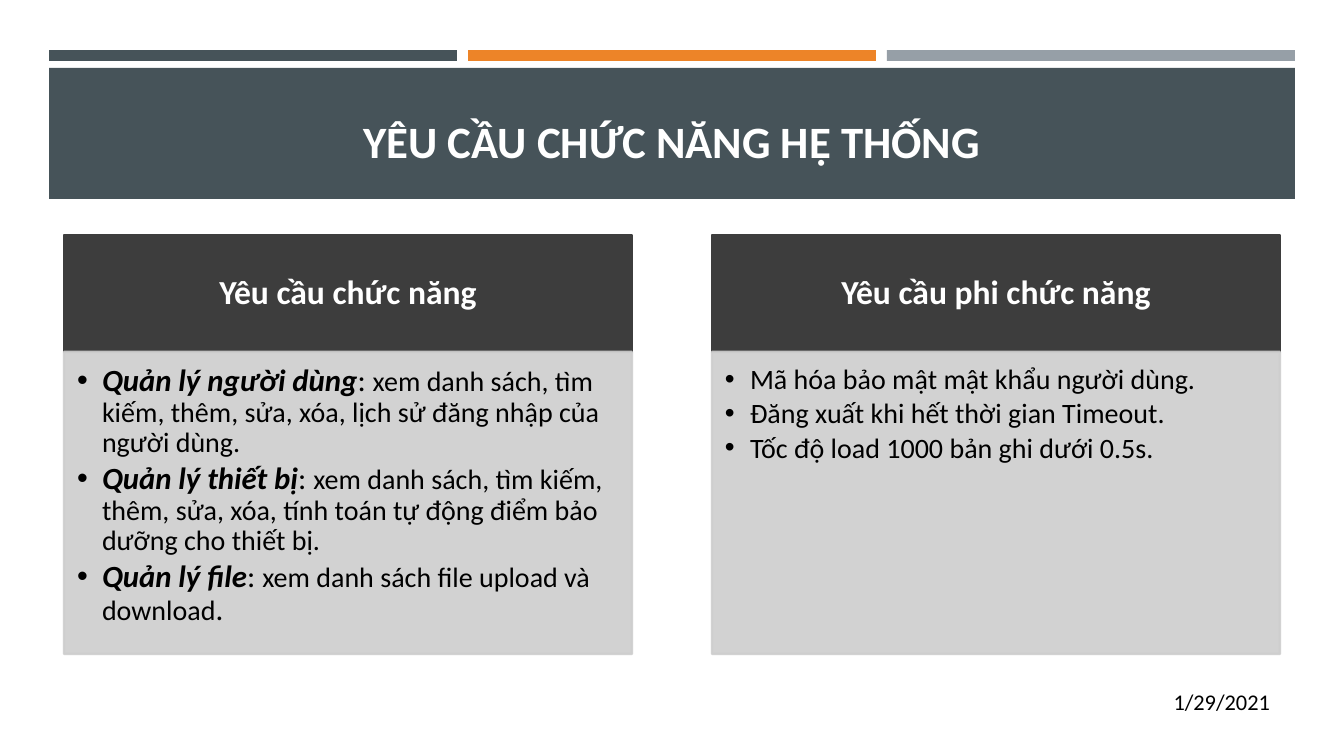
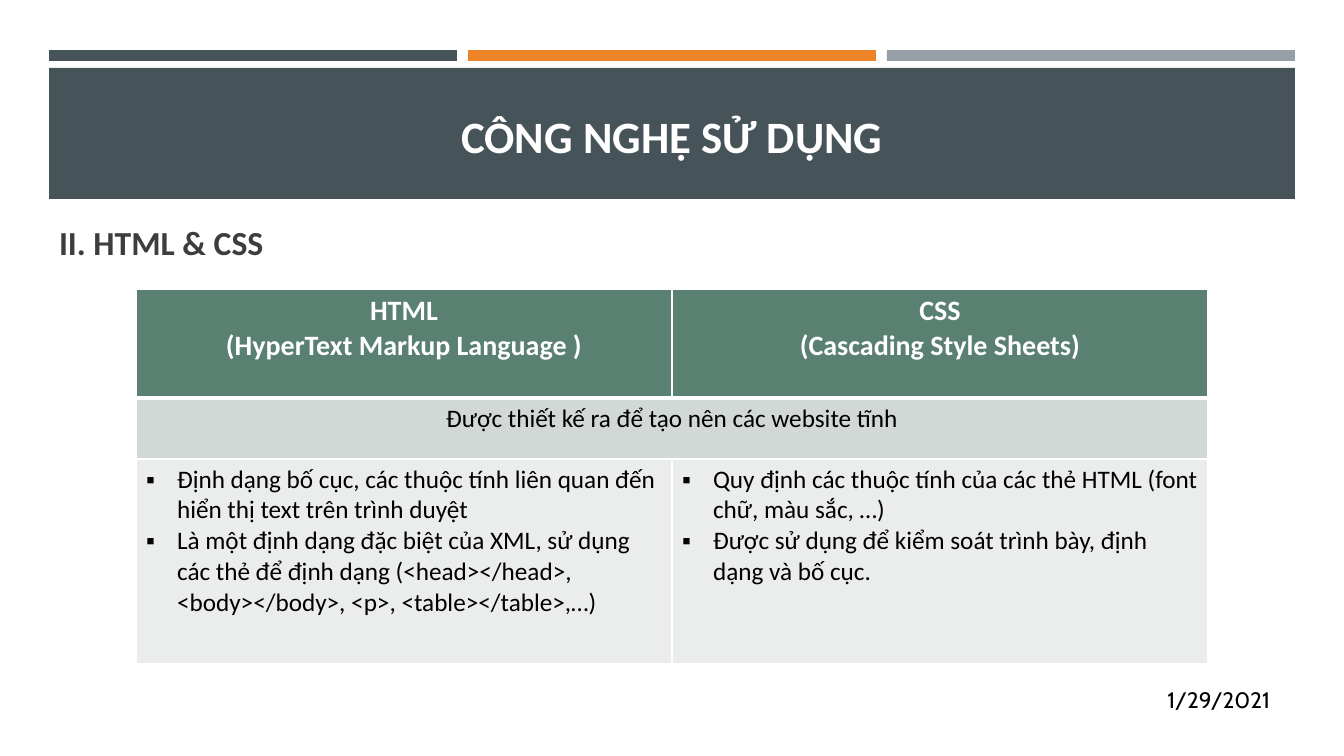
from lxml.etree import SubElement
from pptx import Presentation
from pptx.dml.color import RGBColor
from pptx.enum.shapes import MSO_SHAPE
from pptx.enum.text import MSO_ANCHOR as ANCHOR, PP_ALIGN as ALIGN
from pptx.oxml.ns import qn
from pptx.util import Emu, Pt

PX = 914400 / 100.8
COLORS = dict(slate="465359", orange="ED8428", gray="969FA7", dark="3D3D3D",
              panel="CECECE", green="5A8071", sage="D2D8D5", mist="EAEDEB",
              white="FFFFFF", black="000000")
FONT = "Calibri"
DATE = "1/29/2021"
BANDS = ["slate", "orange", "gray"]

LEAD = dict(size=22, bold=True, italic=True)
LARGE = dict(size=22)
CARDS = [
    ("Yêu cầu chức năng", [
        [("Quản lý người dùng", LEAD), (": ", LARGE),
         ("xem danh sách, tìm kiếm, thêm, sửa, xóa, lịch sử đăng nhập của người dùng.", {})],
        [("Quản lý thiết bị", LEAD), (": ", LARGE),
         ("xem danh sách, tìm kiếm, thêm, sửa, xóa, tính toán tự động điểm bảo dưỡng cho thiết bị.", {})],
        [("Quản lý file", LEAD), (": ", LARGE),
         ("xem danh sách file upload và download", {}), (".", LARGE)],
    ]),
    ("Yêu cầu phi chức năng", [
        "Mã hóa bảo mật mật khẩu người dùng.",
        "Đăng xuất khi hết thời gian Timeout.",
        "Tốc độ load 1000 bản ghi dưới 0.5s.",
    ]),
]

TABLE = [
    [["HTML", "(HyperText Markup Language )"], ["CSS", "(Cascading Style Sheets)"]],
    [["Được thiết kế ra để tạo nên các website tĩnh"], []],
    [["Định dạng bố cục, các thuộc tính liên quan đến hiển thị text trên trình duyệt",
      "Là một định dạng đặc biệt của XML, sử dụng các thẻ để định dạng "
      "(<head></head>, <body></body>, <p>, <table></table>,…)"],
     ["Quy định các thuộc tính của các thẻ HTML (font chữ, màu sắc, …)",
      "Được sử dụng để kiểm soát trình bày, định dạng và bố cục."]],
]
ROW_STYLES = [
    dict(height=109, fill="green", edges=(1, 3),
         text=dict(size=20, bold=True, color="white", align=ALIGN.CENTER)),
    dict(height=61, fill="sage", edges=(3, 1), text=dict(size=18, align=ALIGN.CENTER)),
    dict(height=205, fill="mist", edges=(1, 1), text=dict(size=18, bullet="▪", indent=31)),
]


def px(n):
    return Emu(round(n * PX))


def rgb(name):
    return RGBColor.from_string(COLORS[name])


def write(tf, paras, size=20, bold=False, italic=False, color="black", font=FONT,
          align=ALIGN.LEFT, bullet=None, indent=25, spacing=None, after=0):
    base = dict(size=size, bold=bold, italic=italic)
    for i, para in enumerate(paras):
        p = tf.add_paragraph() if i else tf.paragraphs[0]
        p.alignment = align
        p.space_after = Pt(after)
        if spacing:
            p.line_spacing = spacing
        if bullet:
            pPr = p._p.get_or_add_pPr()
            pPr.set("marL", str(px(indent)))
            pPr.set("indent", str(-px(indent)))
            SubElement(pPr, qn("a:buFont")).set("typeface", "Arial")
            SubElement(pPr, qn("a:buChar")).set("char", bullet)
        for text, changes in [(para, {})] if isinstance(para, str) else para:
            fmt = {**base, **changes}
            r = p.add_run()
            r.text = text
            r.font.name = font
            r.font.size = Pt(fmt["size"])
            r.font.bold = fmt.get("bold")
            r.font.italic = fmt.get("italic")
            r.font.color.rgb = rgb(color)


def set_frame(tf, anchor, insets):
    tf.word_wrap = True
    tf.vertical_anchor = anchor
    tf.margin_left, tf.margin_top, tf.margin_right, tf.margin_bottom = map(px, insets)


def add_text(s, box, text, anchor=ANCHOR.MIDDLE, **fmt):
    tf = s.shapes.add_textbox(*map(px, box)).text_frame
    set_frame(tf, anchor, (10, 5, 10, 5))
    write(tf, [text], **fmt)


def add_rect(s, box, color, outlined=False, alpha=None):
    sp = s.shapes.add_shape(MSO_SHAPE.RECTANGLE, *map(px, box))
    sp.shadow.inherit = False
    sp.fill.solid()
    sp.fill.fore_color.rgb = rgb(color)
    if outlined:
        sp.line.color.rgb = rgb(color)
        sp.line.width = Pt(1.75)
    else:
        sp.line.fill.background()
    if alpha:
        for clr in list(sp._element.spPr.iter(qn("a:srgbClr"))):
            SubElement(clr, qn("a:alpha")).set("val", str(alpha * 1000))
    return sp


def set_borders(cell, top, bottom):
    tcPr = cell._tc.get_or_add_tcPr()
    for side, width in (("L", 1), ("R", 1), ("T", top), ("B", bottom)):
        ln = SubElement(tcPr, qn(f"a:ln{side}"))
        ln.set("w", str(Pt(width)))
        SubElement(SubElement(ln, qn("a:solidFill")), qn("a:srgbClr")).set("val", COLORS["white"])


def add_slide(prs, title, title_height, date_top, date_font=FONT):
    s = prs.slides.add_slide(prs.slide_layouts[6])
    for i, color in enumerate(BANDS):
        add_rect(s, (49 + i * 419, 50, 408, 11), color)
    add_rect(s, (49, 68, 1246, 131), "slate")
    add_text(s, (64, 78, 1216, title_height), title, anchor=ANCHOR.BOTTOM,
             size=32, bold=True, color="white", align=ALIGN.CENTER)
    add_text(s, (967, date_top, 313, 40), DATE, size=16, font=date_font, align=ALIGN.RIGHT)
    return s


def add_cards(s):
    for i, (heading, items) in enumerate(CARDS):
        left = 64 + i * 648
        head = add_rect(s, (left, 235, 568, 117), "dark", outlined=True)
        set_frame(head.text_frame, ANCHOR.MIDDLE, (19, 11, 19, 11))
        write(head.text_frame, [heading], size=24, bold=True, color="white",
              align=ALIGN.CENTER, spacing=0.9)
        body = add_rect(s, (left, 352, 568, 302), "panel", outlined=True, alpha=90)
        set_frame(body.text_frame, ANCHOR.TOP, (13, 13, 17, 18))
        write(body.text_frame, items, bullet="•", spacing=0.9, after=3)


def add_comparison(s):
    height = sum(style["height"] for style in ROW_STYLES)
    table = s.shapes.add_table(len(TABLE), 2, px(136), px(289), px(1072), px(height)).table
    for i, (row, style) in enumerate(zip(TABLE, ROW_STYLES)):
        table.rows[i].height = px(style["height"])
        for j, paras in enumerate(row):
            cell = table.cell(i, j)
            set_borders(cell, *style["edges"])
            cell.fill.solid()
            cell.fill.fore_color.rgb = rgb(style["fill"])
            write(cell.text_frame, paras, **style["text"])
    table.cell(1, 0).merge(table.cell(1, 1))


def main():
    prs = Presentation()
    prs.slide_width, prs.slide_height = px(1344), px(756)
    add_cards(add_slide(prs, "YÊU CẦU CHỨC NĂNG HỆ THỐNG", 95, 682))
    s = add_slide(prs, "CÔNG NGHỆ SỬ DỤNG", 89, 680, date_font="Cabin")
    add_text(s, (49, 220, 1216, 45), "II. HTML & CSS", size=24, bold=True, color="dark")
    add_comparison(s)
    prs.save("out.pptx")


if __name__ == "__main__":
    main()
